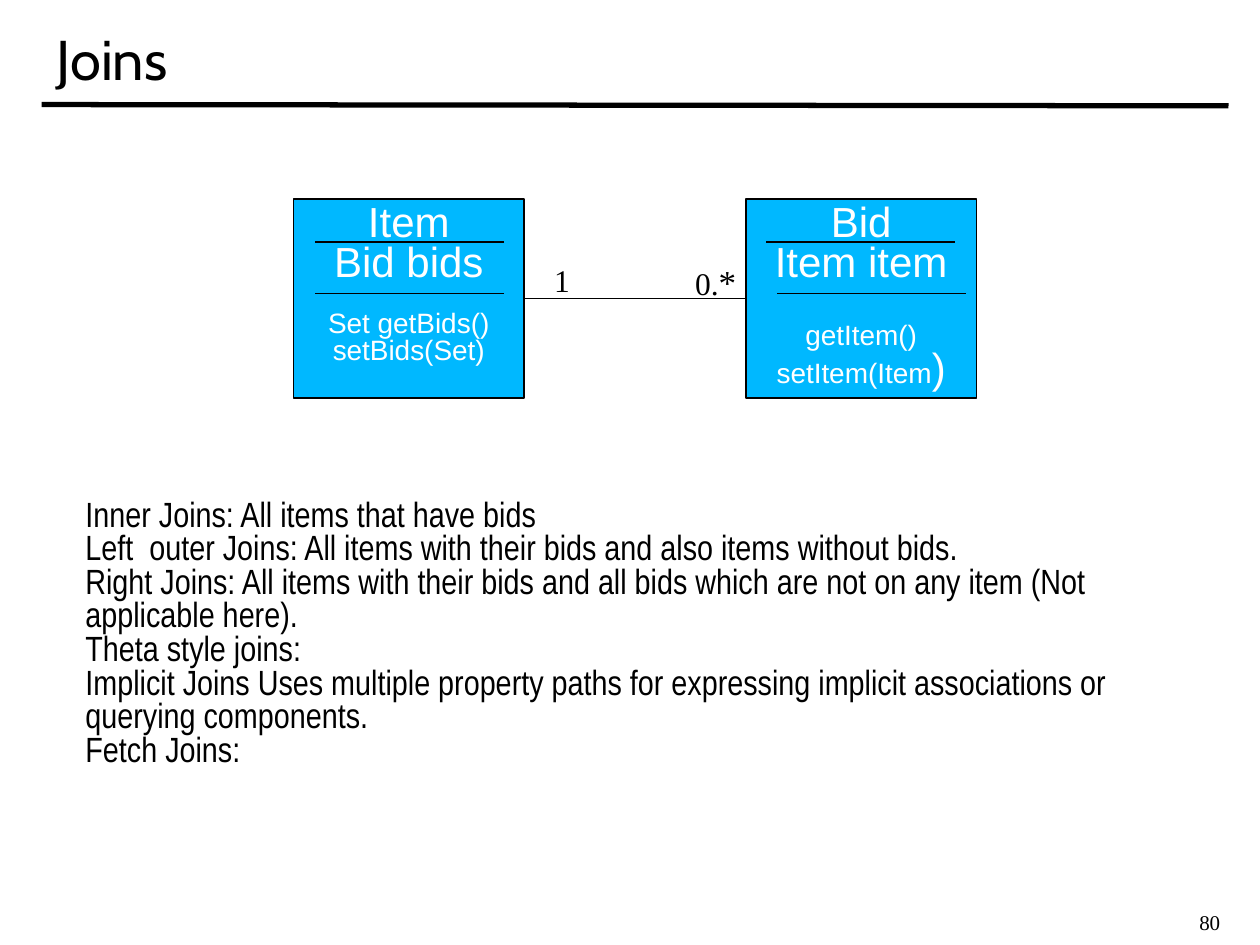
from dataclasses import dataclass
from lxml.etree import SubElement
from pptx import Presentation
from pptx.dml.color import RGBColor
from pptx.enum.shapes import MSO_CONNECTOR, MSO_SHAPE
from pptx.enum.text import MSO_ANCHOR, MSO_AUTO_SIZE, PP_ALIGN
from pptx.oxml.ns import qn
from pptx.util import Inches, Pt

BLACK, WHITE, BLUE = "000000", "FFFFFF", "00B8FF"
SERIF = "Times New Roman"


def color(code):
    return RGBColor.from_string(code)


@dataclass
class Deck:
    """Holds the style and the current slide, and draws each kind of element."""
    slide: object
    sans: str = "Arial"
    tight: float = 0.8
    thin: float = 0.75

    def style(self, run, font, size, code):
        run.font.name = font
        run.font.size = Pt(size)
        run.font.color.rgb = color(code)

    def fill(self, frame, lines, font, code=BLACK, align=PP_ALIGN.LEFT, space=1.0):
        frame.word_wrap = True
        frame.auto_size = MSO_AUTO_SIZE.NONE
        frame.text = "\n".join(text for text, size, gap in lines)
        for para, (text, size, gap) in zip(frame.paragraphs, lines):
            para.alignment = align
            para.line_spacing = space
            para.space_before = Pt(gap)
            for run in para.runs:
                self.style(run, font, size, code)

    def extend(self, frame, text, size, font, code):
        run = frame.paragraphs[-1].add_run()
        run.text = text
        self.style(run, font, size, code)

    def title(self, text):
        shape = self.slide.shapes.title
        shape.left, shape.top = Inches(0.25), Inches(0)
        shape.width, shape.height = Inches(9.5), Inches(0.92)
        frame = shape.text_frame
        frame.margin_left = Inches(0.2)
        frame.vertical_anchor = MSO_ANCHOR.MIDDLE
        self.fill(frame, [(text, 32, 0)], "Cabin")

    def text(self, left, top, width, height, lines, font, **kind):
        box = self.slide.shapes.add_textbox(
            Inches(left), Inches(top), Inches(width), Inches(height))
        self.fill(box.text_frame, lines, font, **kind)
        return box.text_frame

    def entity(self, left, lines):
        box = self.slide.shapes.add_shape(
            MSO_SHAPE.RECTANGLE, Inches(left), Inches(1.58), Inches(1.83), Inches(1.58))
        box.shadow.inherit = False
        box.fill.solid()
        box.fill.fore_color.rgb = color(BLUE)
        box.line.color.rgb = color(BLACK)
        box.line.width = Pt(self.thin)
        box.text_frame.vertical_anchor = MSO_ANCHOR.TOP
        self.fill(box.text_frame, lines, self.sans, WHITE, PP_ALIGN.CENTER, self.tight)
        return box

    def line(self, left, top, right, end, width=None):
        line = self.slide.shapes.add_connector(
            MSO_CONNECTOR.STRAIGHT, Inches(left), Inches(top), Inches(right), Inches(end))
        line.line.color.rgb = color(BLACK)
        line.line.width = Pt(width or self.thin)
        SubElement(line._element.spPr, qn("a:effectLst"))
        return line


def main():
    show = Presentation()
    show.slide_width, show.slide_height = Inches(10), Inches(7.5)
    deck = Deck(show.slides.add_slide(show.slide_layouts[5]))

    deck.line(0.33, 0.83, 9.75, 0.84, 3)
    deck.text(9.42, 7.17, 0.54, 0.3, [("80", 12, 0)], SERIF)
    deck.title("Joins")

    joins = [
        "Inner Joins: All items that have bids",
        "Left  outer Joins: All items with their bids and also items without bids.",
        "Right Joins: All items with their bids and all bids which are not on any item "
        "(Not applicable here).",
        "Theta style joins:",
        "Implicit Joins Uses multiple property paths for expressing implicit associations "
        "or querying components.",
        "Fetch Joins:",
    ]
    deck.text(0.58, 3.92, 8.83, 3.09, [(text, 20, 0) for text in joins],
              "Arial Narrow", space=deck.tight)

    item = deck.entity(2.33, [("Item", 24, 0), ("Bid bids", 24, 0),
                              ("Set getBids()", 16, 14.7), ("setBids(Set)", 16, 0)])
    bid = deck.entity(5.92, [("Bid", 24, 0), ("Item item", 24, 0),
                             ("getItem()", 16, 22), ("setItem(Item", 16, 0)])
    deck.extend(bid.text_frame, ")", 24, deck.sans, WHITE)
    for left, top in ((2.5, 1.92), (2.5, 2.33), (6.08, 1.92), (6.17, 2.33)):
        deck.line(left, top, left + 1.5, top)

    link = deck.line(4.17, 2.37, 5.92, 2.37)
    link.begin_connect(item, 3)
    link.end_connect(bid, 1)

    label = {"align": PP_ALIGN.CENTER, "space": deck.tight}
    many = deck.text(5.39, 2.08, 0.58, 0.37, [("0.", 18, 0)], SERIF, **label)
    deck.extend(many, "*", 20, SERIF, BLACK)
    deck.text(4.17, 2.08, 0.58, 0.34, [("1", 18, 0)], SERIF, **label)

    show.save("out.pptx")


if __name__ == "__main__":
    main()
